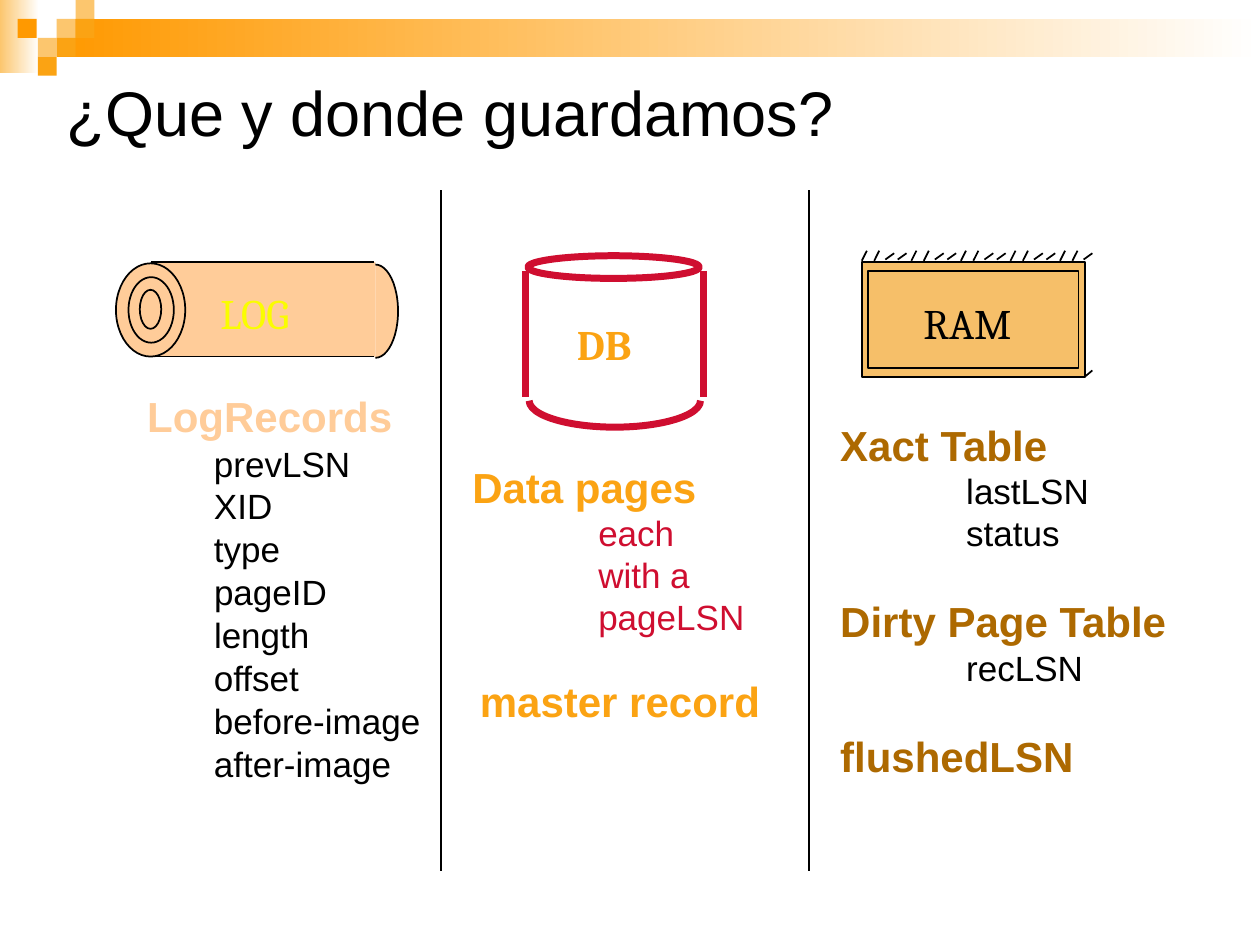
from lxml import etree
from pptx import Presentation
from pptx import util as u
from pptx.dml.color import RGBColor
from pptx.enum import shapes, text
from pptx.oxml.ns import qn

BLACK = RGBColor(0x00, 0x00, 0x00)
WHITE = RGBColor(0xFF, 0xFF, 0xFF)
ORANGE = RGBColor(0xFF, 0x99, 0x00)
AMBER = RGBColor(0xFB, 0xA3, 0x13)
SAND = RGBColor(0xFC, 0xC6, 0x6E)
PEACH = RGBColor(0xFF, 0xCC, 0x99)
RAM_FILL = RGBColor(0xF6, 0xBF, 0x69)
BROWN = RGBColor(0xAD, 0x69, 0x00)
RED = RGBColor(0xCF, 0x0E, 0x30)
YELLOW = RGBColor(0xFA, 0xFD, 0x00)

RECT = shapes.MSO_SHAPE.RECTANGLE
OVAL = shapes.MSO_SHAPE.OVAL
ARC = shapes.MSO_SHAPE.ARC
LINE_HEIGHT = 1.2


class Deck:
    """Holds the text style and the slide being filled."""
    font, heading, body = "Arial", 24, 20

    def __init__(self, prs):
        self.s = prs.slides.add_slide(prs.slide_layouts[5])

    def shape(self, kind, x, y, w, h, fill=None, line=None, weight=1):
        sp = self.s.shapes.add_shape(kind, *map(u.Inches, (x, y, w, h)))
        sp.shadow.inherit = False
        if fill is None:
            sp.fill.background()
        else:
            sp.fill.solid()
            sp.fill.fore_color.rgb = fill
        if line is None:
            sp.line.fill.background()
        else:
            sp.line.color.rgb = line
            sp.line.width = u.Pt(weight)
        return sp

    def fade(self, x, y, w, h, color):
        """Bar that fades from the colour on the left to white."""
        sp = self.shape(RECT, x, y, w, h)
        sp.fill.gradient()
        sp.fill.gradient_angle = 180
        for stop, rgb in zip(sp.fill.gradient_stops, (WHITE, color)):
            stop.color.rgb = rgb

    def arc(self, x, y, w, h, start, end, **style):
        """Arc between two angles in degrees, clockwise from the right."""
        sp = self.shape(ARC, x, y, w, h, **style)
        for i, angle in enumerate((start, end)):
            sp.adjustments[i] = angle * 0.6

    def line(self, x1, y1, x2, y2, color=BLACK, weight=1):
        c = self.s.shapes.add_connector(
            shapes.MSO_CONNECTOR.STRAIGHT, *map(u.Inches, (x1, y1, x2, y2)))
        c.line.color.rgb = color
        c.line.width = u.Pt(weight)
        etree.SubElement(c._element.spPr, qn("a:effectLst"))

    def style(self, p, size, color, bold=False, font=None):
        p.font.size = u.Pt(size)
        p.font.name = font or self.font
        p.font.bold = bold
        p.font.color.rgb = color

    def title(self, words, x, y, w, h):
        sp = self.s.shapes.title
        sp.left, sp.top, sp.width, sp.height = map(u.Inches, (x, y, w, h))
        tf = sp.text_frame
        tf.text = words
        tf.vertical_anchor = text.MSO_ANCHOR.MIDDLE
        tf.paragraphs[0].alignment = text.PP_ALIGN.LEFT
        self.style(tf.paragraphs[0], 36, BLACK)

    def frame(self, x, y, w, h):
        tf = self.s.shapes.add_textbox(*map(u.Inches, (x, y, w, h))).text_frame
        tf.word_wrap = False
        tf.auto_size = text.MSO_AUTO_SIZE.SHAPE_TO_FIT_TEXT
        return tf

    def label(self, words, x, y, w, h, size, color, bold=False, font=None):
        p = self.frame(x, y, w, h).paragraphs[0]
        p.text = words
        self.style(p, size, color, bold, font)
        return p

    def outline(self, sections, x, y, w, h, head_color, item_color):
        """Bold headings, each followed by its tabbed items."""
        tf = self.frame(x, y, w, h)
        for n, (head, items) in enumerate(sections):
            p = tf.add_paragraph() if n else tf.paragraphs[0]
            p.text = head
            if n:
                p.space_before = u.Pt(self.body * LINE_HEIGHT)
            self.style(p, self.heading, head_color, True)
            for item in items:
                p = tf.add_paragraph()
                p.text = "\t" + item
                tabs = etree.SubElement(p._p.get_or_add_pPr(), qn("a:tabLst"))
                etree.SubElement(tabs, qn("a:tab"), pos=str(u.Inches(1)), algn="l")
                self.style(p, self.body, item_color)


def banner(d):
    d.fade(0, 0, 0.31, 0.58, SAND)
    d.fade(0.45, 0.15, 9.55, 0.3, ORANGE)
    for x, y, color in ((0.45, 0.15, SAND), (0.6, 0, SAND), (0.6, 0.15, AMBER),
                        (0.3, 0.3, SAND), (0.14, 0.15, ORANGE),
                        (0.45, 0.3, AMBER), (0.3, 0.45, AMBER)):
        d.shape(RECT, x, y, 0.15, 0.15, color)


def log_column(d):
    d.shape(RECT, 1.2, 2.08, 1.78, 0.75, PEACH)
    d.shape(OVAL, 0.92, 2.09, 0.55, 0.74, PEACH, BLACK)
    for y in (2.08, 2.83):
        d.line(1.2, y, 2.97, y)
    d.arc(2.8, 2.1, 0.36, 0.74, 270, 90, fill=PEACH, line=BLACK)
    d.shape(OVAL, 1.02, 2.2, 0.36, 0.52, line=BLACK)
    d.shape(OVAL, 1.11, 2.3, 0.17, 0.31, line=BLACK)
    d.label("LOG", 1.65, 2.23, 0.89, 0.5, 24, YELLOW, font="Cambria")
    d.label("LogRecords", 1.07, 3.05, 2.18, 0.5, d.heading, PEACH, True)
    fields = (("prevLSN", 1.3), ("XID", 0.7), ("type", 0.76), ("pageID", 1.12),
              ("length", 0.98), ("offset", 0.9), ("before-image", 1.86),
              ("after-image", 1.63))
    for i, (field, width) in enumerate(fields):
        d.label(field, 1.6, 3.46 + 0.34 * i, width, 0.43, d.body, BLACK)


def db_column(d):
    d.shape(OVAL, 4.19, 2.03, 1.36, 0.18, line=RED, weight=4)
    for x in (4.17, 5.58):
        d.line(x, 2.15, x, 3.15, RED, 4)
    d.arc(4.2, 2.97, 1.36, 0.42, 0, 180, line=RED, weight=4)
    d.label("DB", 4.48, 2.48, 0.68, 0.5, 24, AMBER, True, "Cambria")
    d.outline([("Data pages", ("each", "with a", "pageLSN"))],
              3.65, 3.61, 2.36, 1.5, AMBER, RED)
    p = d.label("master record", 3.71, 5.31, 2.42, 0.5, d.heading, AMBER, True)
    p.alignment = text.PP_ALIGN.CENTER


def ram_column(d):
    left, width, ticks = 6.84, 1.77, 19
    d.shape(RECT, left, 2.08, width, 0.91, RAM_FILL, BLACK)
    d.shape(RECT, 6.89, 2.15, 1.67, 0.77, line=BLACK)
    for i in range(ticks):
        x = left + i * width / (ticks - 1)
        if i % 4 < 2:
            d.line(x, 2.07, x + 0.04, 1.99)
        else:
            d.line(x - 0.01, 2.06, x + 0.06, 2.01)
    d.line(8.61, 2.99, 8.67, 2.94)
    d.label("RAM", 7.23, 2.31, 0.96, 0.5, 24, BLACK, font="Cambria")
    d.outline([("Xact Table", ("lastLSN", "status")),
               ("Dirty Page Table", ("recLSN",)),
               ("flushedLSN", ())],
              6.57, 3.28, 2.81, 3.36, BROWN, BLACK)


def main():
    prs = Presentation()
    prs.slide_width, prs.slide_height = u.Inches(10), u.Inches(7.5)
    d = Deck(prs)
    banner(d)
    d.title("¿Que y donde guardamos?", 0.43, 0.46, 7.72, 0.85)
    log_column(d)
    db_column(d)
    ram_column(d)
    for x in (3.5, 6.42):
        d.line(x, 1.51, x, 6.91)
    prs.save("out.pptx")


if __name__ == "__main__":
    main()
